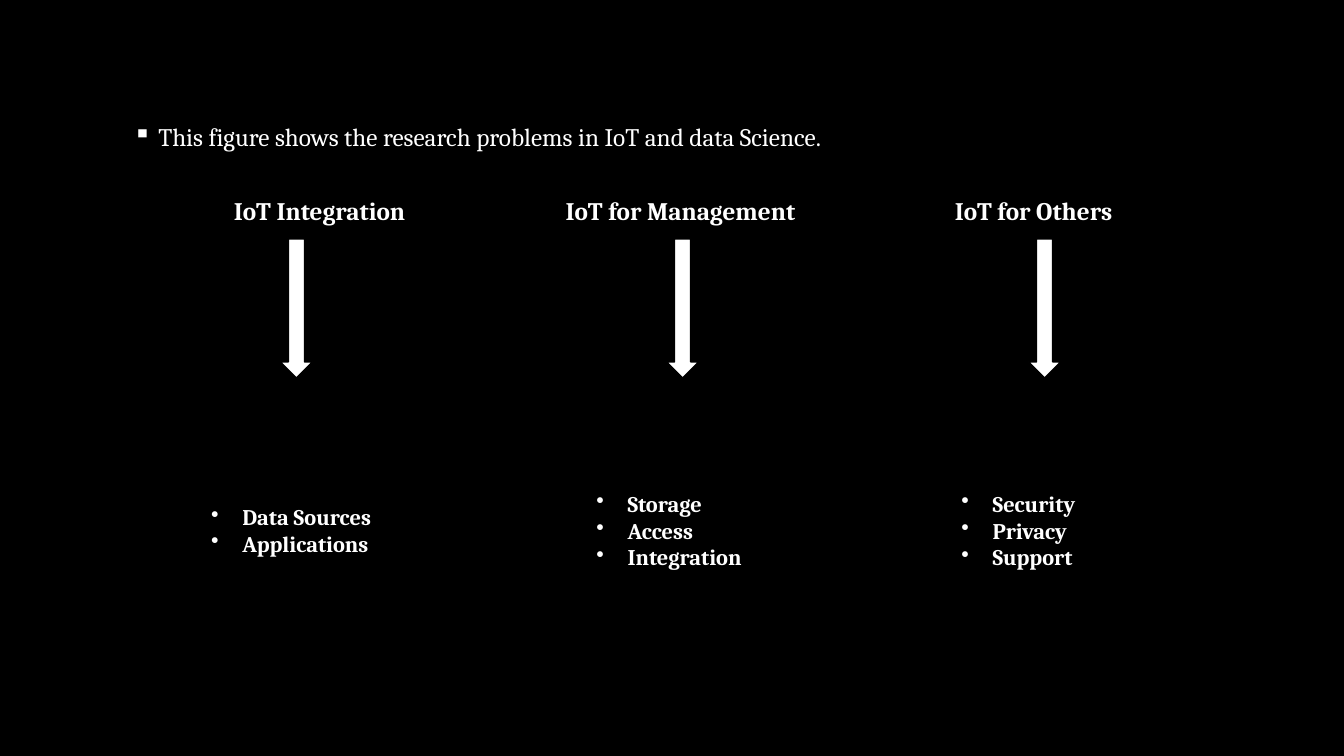
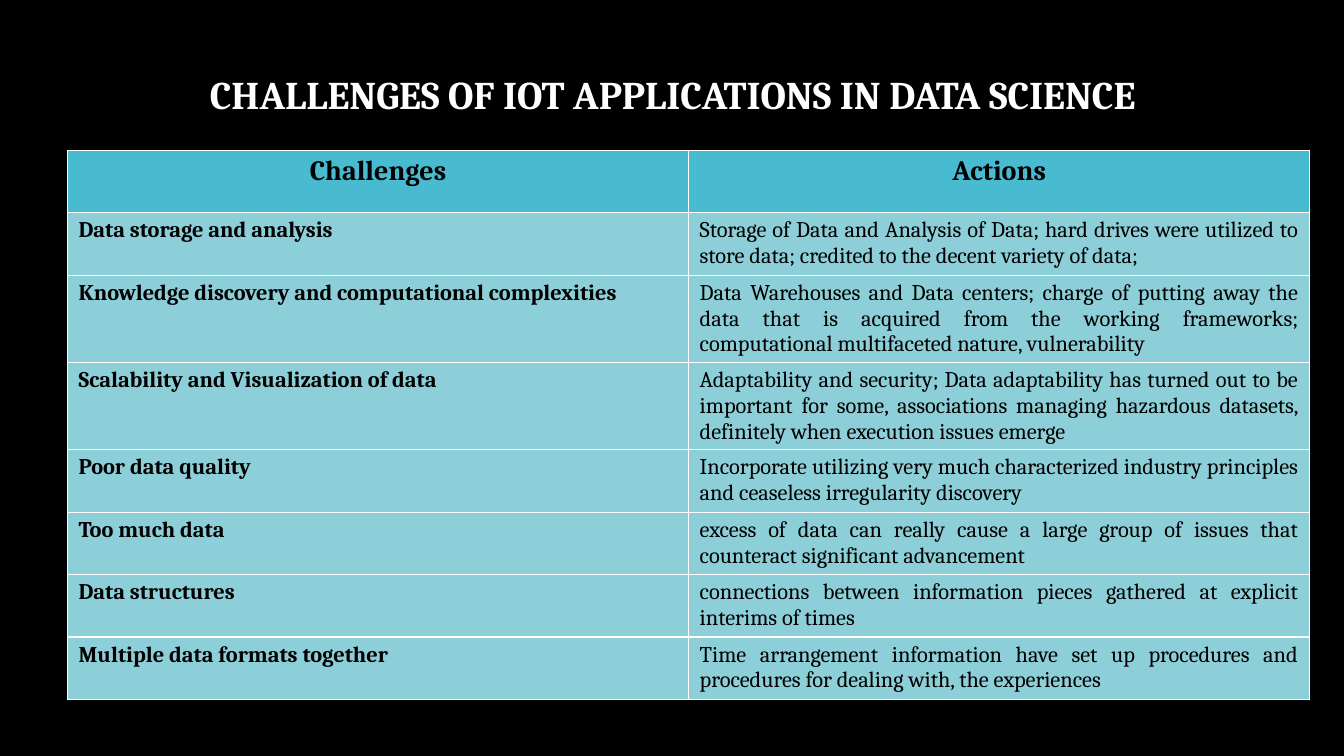
from lxml.etree import SubElement, fromstring
from pptx import Presentation
from pptx.dml.color import RGBColor
from pptx.enum.shapes import MSO_SHAPE
from pptx.enum.text import MSO_ANCHOR, PP_ALIGN
from pptx.oxml.ns import nsdecls, qn
from pptx.util import Inches, Pt

BLACK, WHITE, TEAL, PALE_TEAL = "000000", "FFFFFF", "49BBD1", "8DCFD8"

COLUMNS = [
    ("IoT Integration", 2.32, 2.78, 1.61, ["Data Sources", "Applications"]),
    ("IoT for Management", 5.61, 6.61, 5.43, ["Storage", "Access", "Integration"]),
    ("IoT for Others", 9.47, 10.2, 9.05, ["Security", "Privacy", "Support"]),
]

CHALLENGES = [
    ("Challenges", "Actions"),
    ("Data storage and analysis",
     "Storage of Data and Analysis of Data; hard drives were utilized to store data; "
     "credited to the decent variety of data;"),
    ("Knowledge discovery and computational complexities",
     "Data Warehouses and Data centers; charge of putting away the data that is acquired "
     "from the working frameworks; computational multifaceted nature, vulnerability"),
    ("Scalability and Visualization of data",
     "Adaptability and security; Data adaptability has turned out to be important for some, "
     "associations managing hazardous datasets, definitely when execution issues emerge"),
    ("Poor data quality",
     "Incorporate utilizing very much characterized industry principles "
     "and ceaseless irregularity discovery"),
    ("Too much data",
     "excess of data can really cause a large group of issues "
     "that counteract significant advancement"),
    ("Data structures",
     "connections between information pieces gathered at explicit interims of times"),
    ("Multiple data formats together",
     "Time arrangement information have set up procedures and procedures "
     "for dealing with, the experiences"),
]


def color(value):
    """Turn a hex string into a colour."""
    return RGBColor.from_string(value)


def assign(target, values):
    """Set each named value on the target."""
    for name, value in values.items():
        setattr(target, name, value)


class SlideBuilder:
    """Hold the shared style and the current slide."""

    font = "Cambria"
    title_layout, blank_layout = 5, 6

    def __init__(self):
        """Start a wide deck with a black background."""
        self.deck = Presentation()
        assign(self.deck, {"slide_width": Inches(13.33), "slide_height": Inches(7.5)})
        fill = self.deck.slide_master.background.fill
        fill.solid()
        fill.fore_color.rgb = color(BLACK)
        self.page = None

    def new_page(self, layout):
        """Add a slide and make it current."""
        self.page = self.deck.slides.add_slide(self.deck.slide_layouts[layout])

    def fill_text(self, frame, lines, size, ink=WHITE, bold=False, align=PP_ALIGN.LEFT,
                  spacing=1.0, bullet=None, indent=0):
        """Put one styled paragraph in the frame for each line."""
        for number, line in enumerate(lines):
            para = frame.add_paragraph() if number else frame.paragraphs[0]
            assign(para, {"alignment": align, "line_spacing": spacing})
            span = para.add_run()
            span.text = line
            assign(span.font, {"name": self.font, "size": Pt(size), "bold": bold})
            span.font.color.rgb = color(ink)
            if bullet:
                layout = para._p.get_or_add_pPr()
                layout.set("marL", str(Inches(indent)))
                layout.set("indent", str(-Inches(indent)))
                SubElement(layout, qn("a:buChar")).set("char", bullet)

    def title(self, text, left, top, width, height):
        """Add a slide whose title placeholder holds the text."""
        self.new_page(self.title_layout)
        box = self.page.shapes.title
        assign(box, {"left": Inches(left), "top": Inches(top),
                     "width": Inches(width), "height": Inches(height)})
        box.text_frame.vertical_anchor = MSO_ANCHOR.MIDDLE
        self.fill_text(box.text_frame, [text], 28, bold=True, align=PP_ALIGN.CENTER,
                       spacing=0.9)

    def text(self, line, left, top, width, height, **style):
        """Add a text box without margins."""
        box = self.page.shapes.add_textbox(
            Inches(left), Inches(top), Inches(width), Inches(height))
        assign(box.text_frame, {
            "word_wrap": True, "vertical_anchor": MSO_ANCHOR.MIDDLE, "margin_left": 0,
            "margin_right": 0, "margin_top": 0, "margin_bottom": 0})
        self.fill_text(box.text_frame, [line], 18, spacing=0.9, **style)

    def shape(self, kind, left, top, width, height, fill):
        """Add a flat preset shape with a black outline."""
        shape = self.page.shapes.add_shape(
            kind, Inches(left), Inches(top), Inches(width), Inches(height))
        shape.shadow.inherit = False
        shape.fill.solid()
        shape.fill.fore_color.rgb = color(fill)
        shape.line.color.rgb = color(BLACK)
        shape.line.width = Pt(1)
        return shape

    def bullet_circle(self, lines, left, top, size):
        """Add a circle that holds a bulleted list."""
        circle = self.shape(MSO_SHAPE.OVAL, left, top, size, size, BLACK)
        circle.text_frame.vertical_anchor = MSO_ANCHOR.MIDDLE
        self.fill_text(circle.text_frame, lines, 16, bold=True, bullet="•", indent=0.31)

    def cell_borders(self, cell):
        """Draw a white line on every side of a cell."""
        properties = cell._tc.get_or_add_tcPr()
        for position, side in enumerate(("lnL", "lnR", "lnT", "lnB")):
            properties.insert(position, fromstring(
                f'<a:{side} {nsdecls("a")} w="{Pt(1)}"><a:solidFill>'
                f'<a:srgbClr val="{WHITE}"/></a:solidFill></a:{side}>'))

    def table(self, rows, left, top, column_width, row_height):
        """Add a table with a header row and a bold first column."""
        count = len(rows[0])
        table = self.page.shapes.add_table(
            len(rows), count, Inches(left), Inches(top),
            Inches(column_width * count), Inches(row_height * len(rows))).table
        for row_number, row in enumerate(rows):
            header = row_number == 0
            for column_number, text in enumerate(row):
                cell = table.cell(row_number, column_number)
                assign(cell, {"margin_left": Inches(0.11), "margin_right": Inches(0.11),
                              "margin_top": Inches(0.05), "margin_bottom": Inches(0.05)})
                cell.fill.solid()
                cell.fill.fore_color.rgb = color(TEAL if header else PALE_TEAL)
                self.cell_borders(cell)
                self.fill_text(cell.text_frame, [text], 20 if header else 16, ink=BLACK,
                               bold=header or column_number == 0,
                               align=PP_ALIGN.CENTER if header else PP_ALIGN.JUSTIFY)


def main():
    """Build both slides and save the deck."""
    slides = SlideBuilder()

    slides.new_page(slides.blank_layout)
    slides.text("This figure shows the research problems in IoT and data Science.",
                1.32, 1.12, 11, 0.5, bullet="▪", indent=0.25)
    for heading, heading_left, arrow_left, circle_left, items in COLUMNS:
        slides.text(heading, heading_left, 1.86, 3, 0.5, bold=True)
        slides.bullet_circle(items, circle_left, 3.94, 2.64)
        slides.shape(MSO_SHAPE.DOWN_ARROW, arrow_left, 2.37, 0.32, 1.38, WHITE)

    slides.title("CHALLENGES OF IOT APPLICATIONS IN DATA SCIENCE", 0.92, 0.56, 11.5, 0.8)
    slides.table(CHALLENGES, 0.67, 1.49, 6.16, 0.62)

    slides.deck.save("out.pptx")


if __name__ == "__main__":
    main()
